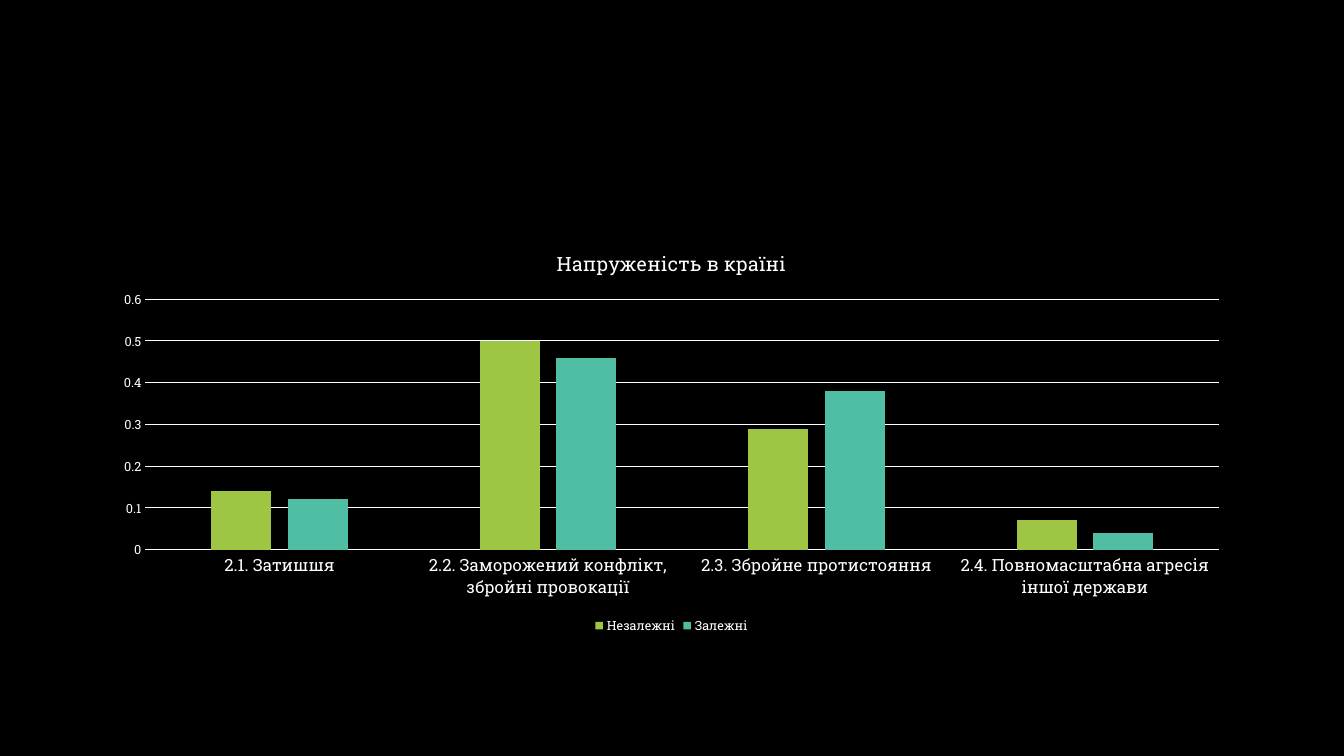
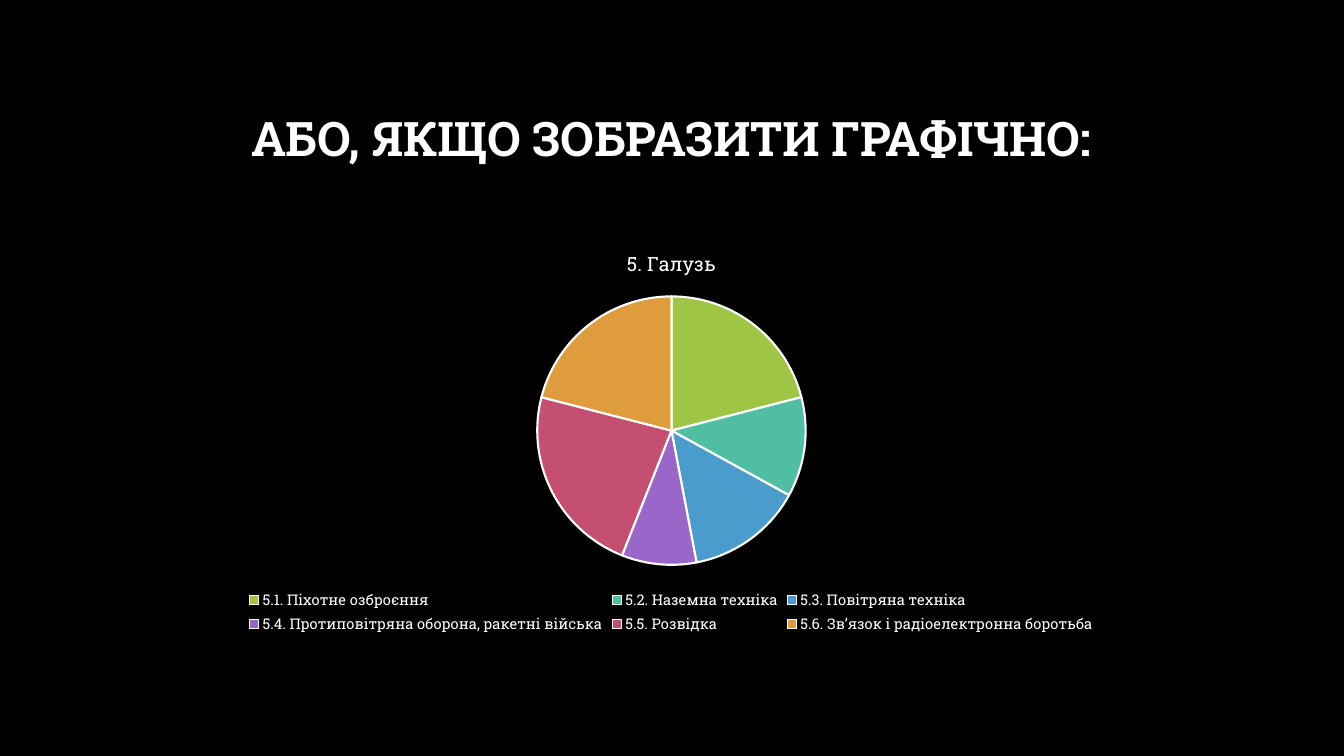
"""Builds two black slides: a column chart of tension and a pie chart of branches."""
from pptx import Presentation
from pptx import util as u
from pptx.chart.data import CategoryChartData
from pptx.dml.color import RGBColor
from pptx.enum import chart as ch, text

PX = 914400 / 100.8
FONT = "Roboto Slab"
BLACK = RGBColor(0x00, 0x00, 0x00)
WHITE = RGBColor(0xFF, 0xFF, 0xFF)
GREEN = RGBColor(0x9E, 0xC5, 0x44)
TEAL = RGBColor(0x50, 0xBE, 0xA3)
BLUE = RGBColor(0x4A, 0x9C, 0xCC)
PURPLE = RGBColor(0x9A, 0x66, 0xCA)
ROSE = RGBColor(0xC5, 0x4F, 0x71)
ORANGE = RGBColor(0xDE, 0x9C, 0x3C)
PALETTE = [GREEN, TEAL, BLUE, PURPLE, ROSE, ORANGE]

TITLE_BOX = (101, 68, 1141, 146)
CHART_BOX = (101, 231, 1141, 407)

HEADING = "АБО, ЯКЩО ЗОБРАЗИТИ ГРАФІЧНО:"
TENSION = {
    "title": "Напруженість в країні",
    "cats": ["2.1. Затишшя", "2.2. Заморожений конфлікт, збройні провокації",
             "2.3. Збройне протистояння", "2.4. Повномасштабна агресія іншої держави"],
    "series": {"Незалежні": [0.14, 0.5, 0.29, 0.07],
               "Залежні": [0.12, 0.46, 0.38, 0.04]},
}
BRANCHES = {
    "title": "5. Галузь",
    "cats": ["5.1. Піхотне озброєння", "5.2. Наземна техніка", "5.3. Повітряна техніка",
             "5.4. Протиповітряна оборона, ракетні війська", "5.5. Розвідка",
             "5.6. Зв’язок і радіоелектронна боротьба"],
    "series": {"Series 1": [21, 12, 14, 9, 23, 21]},
}


def px(box):
    return [u.Emu(round(n * PX)) for n in box]


def style_font(font, size, bold=False):
    font.name, font.size, font.bold = FONT, u.Pt(size), bold
    font.color.rgb = WHITE


def style_line(line, width):
    line.color.rgb = WHITE
    line.width = u.Pt(width)


def add_slide(prs):
    s = prs.slides.add_slide(prs.slide_layouts[6])
    s.background.fill.solid()
    s.background.fill.fore_color.rgb = BLACK
    return s


def add_title(s, words):
    tf = s.shapes.add_textbox(*px(TITLE_BOX)).text_frame
    tf.word_wrap = True
    tf.vertical_anchor = text.MSO_ANCHOR.MIDDLE
    p = tf.paragraphs[0]
    p.text = words
    p.alignment = text.PP_ALIGN.CENTER
    p.line_spacing = 0.9
    style_font(p.runs[0].font, 34, bold=True)


def add_chart(s, kind, content, legend_size):
    data = CategoryChartData()
    data.categories = content["cats"]
    for name, values in content["series"].items():
        data.add_series(name, values)
    chart = s.shapes.add_chart(kind, *px(CHART_BOX), data).chart
    style_font(chart.font, 10)
    chart.has_title = True
    p = chart.chart_title.text_frame.paragraphs[0]
    p.text = content["title"]
    style_font(p.runs[0].font, 14)
    chart.has_legend = True
    chart.legend.position = ch.XL_LEGEND_POSITION.BOTTOM
    chart.legend.include_in_layout = False
    style_font(chart.legend.font, legend_size)
    return chart


def fill_parts(parts):
    for part, color in zip(parts, PALETTE):
        part.format.fill.solid()
        part.format.fill.fore_color.rgb = color


def tension_slide(prs):
    chart = add_chart(add_slide(prs), ch.XL_CHART_TYPE.COLUMN_CLUSTERED, TENSION, 9)
    plot = chart.plots[0]
    plot.gap_width, plot.overlap, plot.vary_by_categories = 219, -27, False
    fill_parts(plot.series)
    cat, val = chart.category_axis, chart.value_axis
    for axis, size in ((cat, 12), (val, 9)):
        axis.major_tick_mark = axis.minor_tick_mark = ch.XL_TICK_MARK.NONE
        style_font(axis.tick_labels.font, size)
    style_line(cat.format.line, 0.75)
    val.format.line.fill.background()
    val.minimum_scale, val.maximum_scale, val.major_unit = 0, 0.6, 0.1
    val.has_major_gridlines = True
    style_line(val.major_gridlines.format.line, 0.75)


def branches_slide(prs):
    s = add_slide(prs)
    add_title(s, HEADING)
    plot = add_chart(s, ch.XL_CHART_TYPE.PIE, BRANCHES, 10.5).plots[0]
    plot.vary_by_categories = True
    slices = [plot.series[0].points[i] for i in range(len(BRANCHES["cats"]))]
    fill_parts(slices)
    for part in slices:
        style_line(part.format.line, 1.5)


def main():
    prs = Presentation()
    prs.slide_width, prs.slide_height = px((1344, 756))
    tension_slide(prs)
    branches_slide(prs)
    prs.save("out.pptx")


if __name__ == "__main__":
    main()
